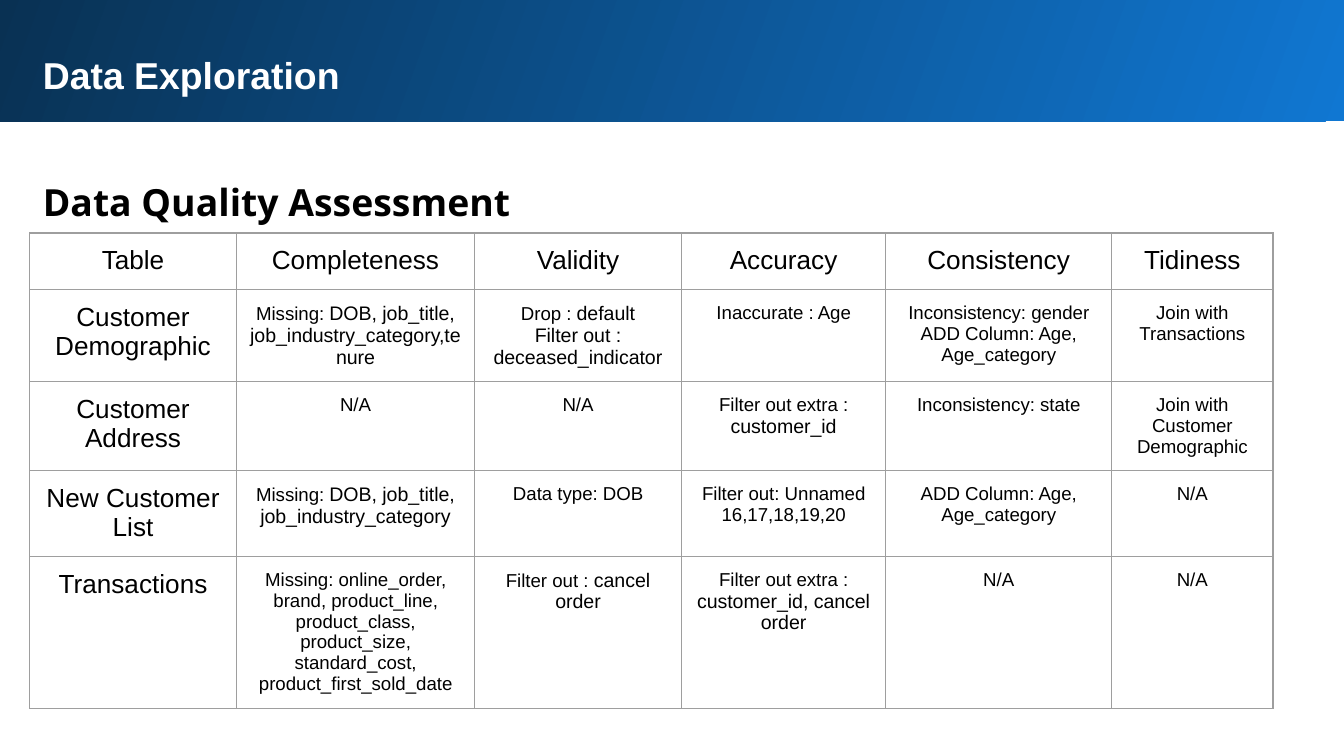
import pptx
import pptx.util
import pptx.oxml
import pptx.oxml.ns
from pptx.util import Cm, Pt
from pptx.dml.color import RGBColor
from pptx.enum.shapes import MSO_SHAPE
from pptx.enum.text import MSO_ANCHOR, MSO_AUTO_SIZE, PP_ALIGN

# Content: a new line starts a paragraph, the text after "|" is a bit larger
TITLE = "Data Exploration"
HEADING = "Data Quality Assessment"
ROWS = [
    ["Table", "Completeness", "Validity", "Accuracy", "Consistency", "Tidiness"],
    ["Customer Demographic",
     "Missing: |DOB, job_title, job_industry_category,tenure",
     "Drop : |default\n|Filter out : deceased_indicator",
     "Inaccurate : Age",
     "Inconsistency: gender\nADD Column: Age, Age_category",
     "Join with Transactions"],
    ["Customer Address", "N/A", "N/A", "Filter out extra : |customer_id",
     "Inconsistency: state", "Join with Customer Demographic"],
    ["New Customer List",
     "Missing: |DOB, job_title, job_industry_category",
     "Data type: DOB", "Filter out: Unnamed 16,17,18,19,20",
     "ADD Column: Age, Age_category", "N/A"],
    ["Transactions",
     "Missing: online_order, brand, product_line, product_class, "
     "product_size, standard_cost, product_first_sold_date",
     "Filter out :| cancel order",
     "Filter out extra : |customer_id, cancel order", "N/A", "N/A"],
]
WIDTHS = [3.91, 4.5, 3.91, 3.86, 4.27, 3.05]
HEIGHTS = [1.07, 1.73, 1.68, 1.62, 2.87]
COLORS = {"light": "1077D2", "dark": "093153", "white": "FFFFFF",
          "black": "000000", "grid": "9E9E9E"}
LEFT, WIDE, INSET = Cm(0.56), Cm(23.8), Cm(0.25)


def color(name):
    return RGBColor.from_string(COLORS[name])


def style(run, size, tone="black", bold=False, face="Arial"):
    font = run.font
    font.name, font.size, font.bold = face, Pt(size), bold
    font.color.rgb = color(tone)


def pad(box):
    box.margin_left = box.margin_right = INSET
    box.margin_top = box.margin_bottom = INSET
    box.vertical_anchor = MSO_ANCHOR.TOP


def write(shape, text, tone, face):
    frame = shape.text_frame
    frame.text = text
    frame.word_wrap = True
    frame.auto_size = MSO_AUTO_SIZE.NONE
    pad(frame)
    line = frame.paragraphs[0]
    line.alignment = PP_ALIGN.LEFT
    style(line.runs[0], 20, tone, True, face)
    return line


def border(cell):
    props = cell._tc.get_or_add_tcPr()
    for side in ("lnL", "lnR", "lnT", "lnB"):
        props.append(pptx.oxml.parse_xml(
            f'<a:{side} {pptx.oxml.ns.nsdecls("a")} w="{Pt(0.75)}"><a:solidFill>'
            f'<a:srgbClr val="{COLORS["grid"]}"/></a:solidFill></a:{side}>'))


def fill(cell, text, label):
    border(cell)
    cell.fill.background()
    pad(cell)
    cell.text = text.replace("|", "")
    for line, part in zip(cell.text_frame.paragraphs, text.split("\n")):
        line.alignment = PP_ALIGN.CENTER
        small, _, large = part.partition("|")
        line.runs[0].text = small or large
        style(line.runs[0], 14 if label else 10 if small else 10.5)
        if small and large:
            run = line.add_run()
            run.text = large
            style(run, 10.5)


deck = pptx.Presentation()
deck.slide_width, deck.slide_height = Cm(25.4), Cm(14.28)
slide = deck.slides.add_slide(deck.slide_layouts[5])
shapes = slide.shapes

# Gradient band, behind the title
band = shapes.add_shape(MSO_SHAPE.RECTANGLE, Cm(-0.05), Cm(-0.05),
                        Cm(25.53), Cm(2.34))
band.shadow.inherit = False
band.line.fill.background()
band.fill.gradient()
band.fill.gradient_angle = 160
for stop, tone in zip(band.fill.gradient_stops, ("light", "dark")):
    stop.color.rgb = color(tone)
shapes._spTree.insert(2, band._element)

# Title and heading
title = shapes.title
title.left, title.top, title.width, title.height = LEFT, Cm(0.74), WIDE, Cm(1.3)
write(title, TITLE, "white", "Arial")
head = shapes.add_textbox(LEFT, Cm(3), WIDE, Cm(1.4))
write(head, HEADING, "black", "Open Sans").line_spacing = 1.15

# Table
grid = shapes.add_table(len(ROWS), len(WIDTHS), LEFT, Cm(4.4),
                        Cm(sum(WIDTHS)), Cm(sum(HEIGHTS))).table
grid.first_row = grid.horz_banding = False
for col, width in zip(grid.columns, WIDTHS):
    col.width = Cm(width)
for r, (row, height) in enumerate(zip(ROWS, HEIGHTS)):
    grid.rows[r].height = Cm(height)
    for c, text in enumerate(row):
        fill(grid.cell(r, c), text, r == 0 or c == 0)

deck.save("out.pptx")
